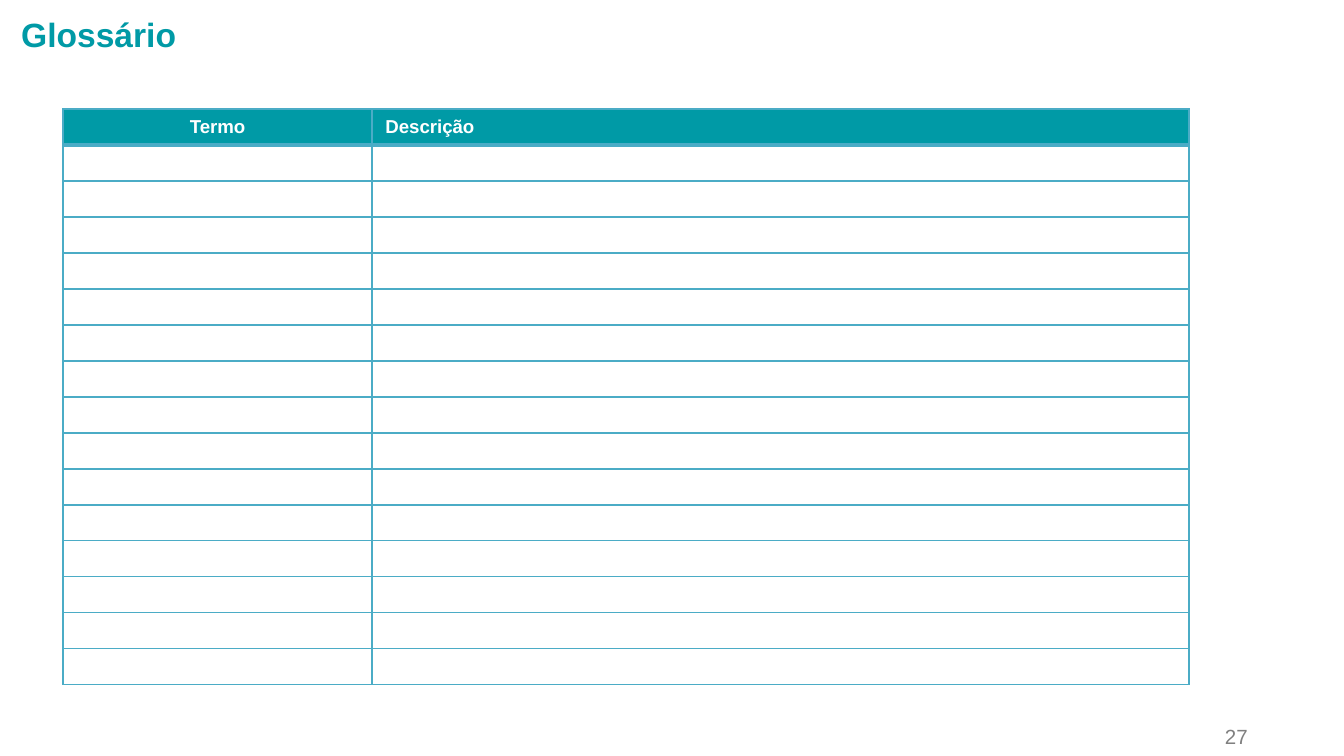
"""Build the glossary slide: a title, an empty two-column table and a page number."""
from dataclasses import dataclass

from lxml.etree import SubElement
from pptx import Presentation
from pptx.dml.color import RGBColor
from pptx.enum.text import MSO_ANCHOR, PP_ALIGN
from pptx.oxml.ns import qn
from pptx.util import Pt


@dataclass(frozen=True)
class Theme:
    """Colours, font and type sizes of the slide."""
    teal: str = "009AA6"
    border: str = "4BACC6"
    white: str = "FFFFFF"
    gray: str = "808080"
    font: str = "Arial"
    title: int = 18
    number: int = 11
    table: int = 10


THEME = Theme()
HEADINGS = [("Termo", PP_ALIGN.CENTER), ("Descrição", PP_ALIGN.LEFT)]
COLUMN_WIDTHS = [309, 817]
HEADER_HEIGHT, ROW_HEIGHT, BLANK_ROWS = 35, 36, 15


def px(count):
    """Turn pixels into EMU."""
    return round(count * 914400 / 134.4)


def write(para, text, size, color, bold=False, align=PP_ALIGN.LEFT):
    """Put styled text in a paragraph."""
    para.text = text
    para.alignment = align
    para.font.name = THEME.font
    para.font.size = Pt(size)
    para.font.bold = bold
    para.font.color.rgb = RGBColor.from_string(color)


def add_text(page, frame, anchor, *style, **options):
    """Add a wrapped one-paragraph text box and return its paragraph."""
    box = page.shapes.add_textbox(*map(px, frame))
    box.text_frame.word_wrap = True
    box.text_frame.vertical_anchor = anchor
    para = box.text_frame.paragraphs[0]
    write(para, *style, **options)
    return para


def set_borders(cell, top=1, bottom=1):
    """Draw the four borders of a cell, with widths in points."""
    properties = cell._tc.get_or_add_tcPr()
    for side, width in (("L", 1), ("R", 1), ("T", top), ("B", bottom)):
        line = SubElement(properties, qn(f"a:ln{side}"), w=str(Pt(width)))
        fill = SubElement(line, qn("a:solidFill"))
        SubElement(fill, qn("a:srgbClr"), val=THEME.border)


def style_header(cell, text, align):
    """Fill a heading cell."""
    set_borders(cell, bottom=2)
    cell.fill.solid()
    cell.fill.fore_color.rgb = RGBColor.from_string(THEME.teal)
    cell.vertical_anchor = MSO_ANCHOR.MIDDLE
    write(cell.text_frame.paragraphs[0], text, THEME.table, THEME.white, True, align)


def style_blank(cell, top):
    """Leave a cell empty, with a type size that keeps its row low."""
    set_borders(cell, top=top)
    cell.fill.background()
    para = cell.text_frame.paragraphs[0]
    SubElement(para._p, qn("a:endParaRPr"), sz=str(THEME.table * 100))


def add_glossary(page):
    """Add the table of terms and descriptions."""
    heights = [HEADER_HEIGHT] + [ROW_HEIGHT] * BLANK_ROWS
    table = page.shapes.add_table(
        len(heights), len(HEADINGS), px(63), px(109),
        px(sum(COLUMN_WIDTHS)), px(sum(heights))).table
    table.horz_banding = False
    for column, width in zip(table.columns, COLUMN_WIDTHS):
        column.width = px(width)
    for row, height in zip(table.rows, heights):
        row.height = px(height)
    for index, heading in enumerate(HEADINGS):
        style_header(table.cell(0, index), *heading)
        for row in range(1, len(heights)):
            style_blank(table.cell(row, index), top=2 if row == 1 else 1)


def main():
    """Build and save the deck."""
    deck = Presentation()
    deck.slide_width, deck.slide_height = px(1344), px(756)
    page = deck.slides.add_slide(deck.slide_layouts[6])
    number = add_text(page, (1137, 716, 124, 39), MSO_ANCHOR.BOTTOM,
                      "27", THEME.number, THEME.gray, align=PP_ALIGN.RIGHT)
    number.line_spacing = 0.8
    add_glossary(page)
    add_text(page, (8, 7, 1183, 54), MSO_ANCHOR.TOP,
             "Glossário", THEME.title, THEME.teal, bold=True)
    deck.save("out.pptx")


if __name__ == "__main__":
    main()
